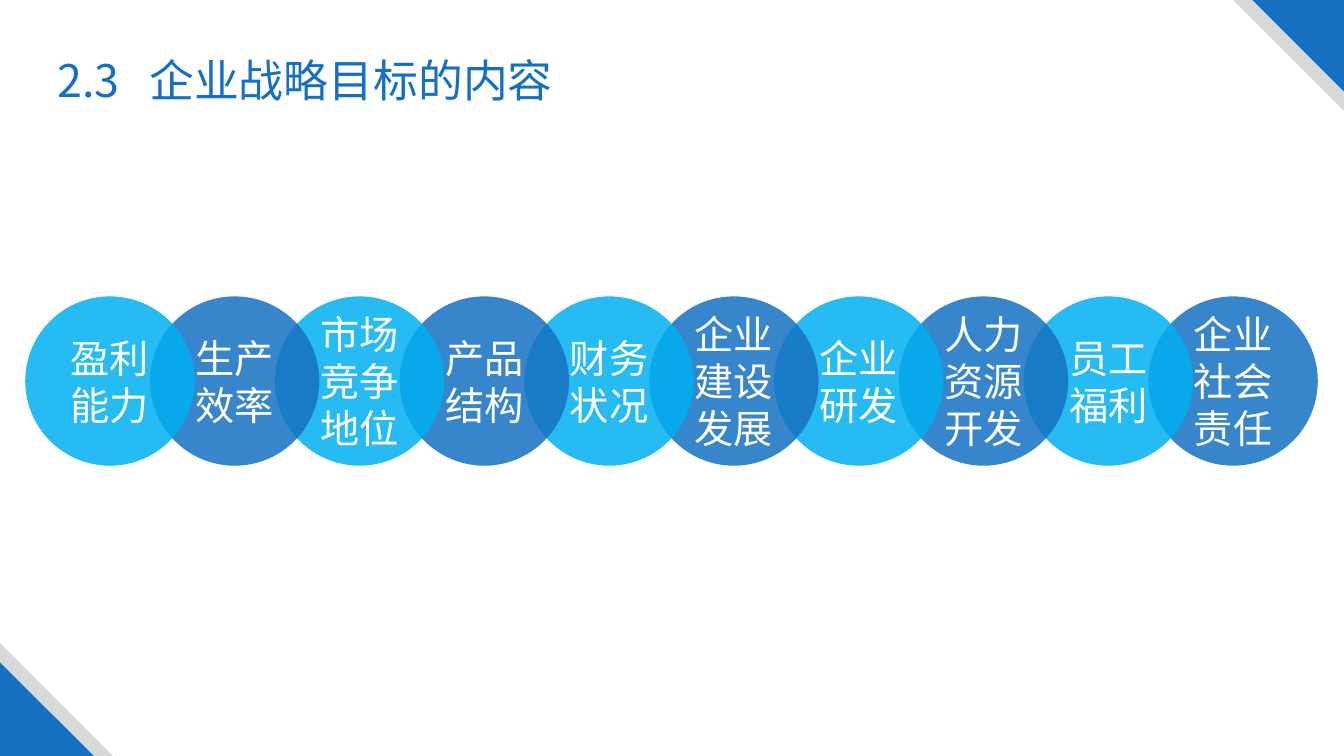
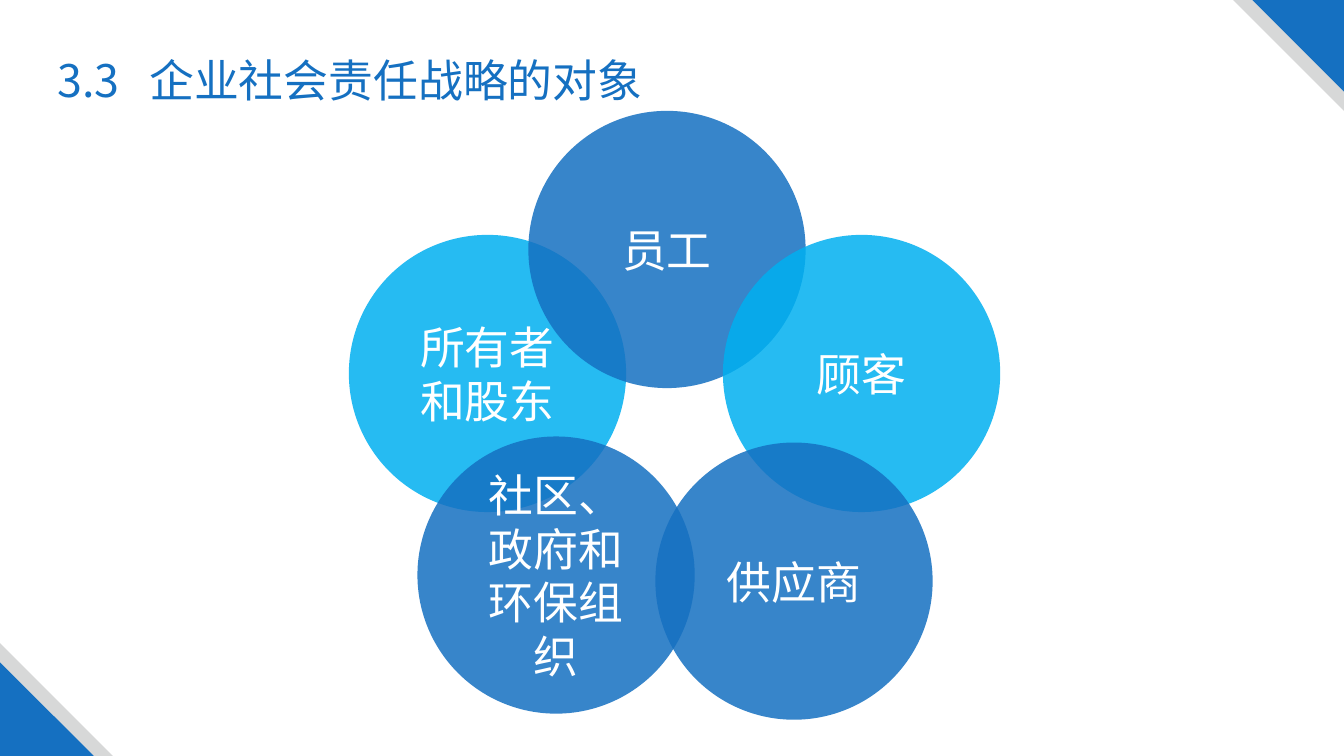
from lxml import etree
from pptx import Presentation
from pptx import util as u
from pptx.dml.color import RGBColor
from pptx.enum import shapes, text
from pptx.oxml.ns import qn

FONT = "Noto Sans CJK SC"
BLUE, CYAN, GRAY, WHITE = "1570C1", "00B0F0", "D7D8D8", "FFFFFF"
SLIDE_WIDTH, SLIDE_HEIGHT = 13.33, 7.5
TITLE_ONLY_LAYOUT = 5


def color(hex_value):
    return RGBColor.from_string(hex_value)


class Deck:
    def __init__(self):
        self.presentation = Presentation()
        self.presentation.slide_width = u.Inches(SLIDE_WIDTH)
        self.presentation.slide_height = u.Inches(SLIDE_HEIGHT)
        self.slide = None

    def add_slide(self, number, title):
        layout = self.presentation.slide_layouts[TITLE_ONLY_LAYOUT]
        self.slide = self.presentation.slides.add_slide(layout)
        self.corners()
        self.title(number, title)

    def shape(self, preset, left, top, width, height, fill, opacity=100):
        shape = self.slide.shapes.add_shape(
            preset, u.Inches(left), u.Inches(top), u.Inches(width), u.Inches(height))
        shape.shadow.inherit = False
        shape.line.fill.background()
        shape.fill.solid()
        shape.fill.fore_color.rgb = color(fill)
        if opacity < 100:
            rgb = shape.fill._xPr.find(".//" + qn("a:srgbClr"))
            etree.SubElement(rgb, qn("a:alpha"), val=str(opacity * 1000))
        return shape

    def corners(self):
        """Layer a blue triangle on a gray one, top right and bottom left."""
        triangle = shapes.MSO_SHAPE.RIGHT_TRIANGLE
        for size, fill in ((1.1, GRAY), (0.91, BLUE)):
            top_right = self.shape(triangle, SLIDE_WIDTH - size, 0, size, size, fill)
            top_right.rotation = 180
            size += 0.02
            self.shape(triangle, 0, SLIDE_HEIGHT - size, size, size, fill)

    def format_text(self, paragraph, size, fill, alignment):
        paragraph.alignment = alignment
        for run in paragraph.runs:
            run.font.name = FONT
            run.font.size = u.Pt(size)
            run.font.color.rgb = color(fill)
            etree.SubElement(run.font._element, qn("a:ea"), typeface=FONT)

    def title(self, number, title):
        shape = self.slide.shapes.title
        shape.left, shape.top = u.Inches(0.47), u.Inches(0.47)
        shape.width, shape.height = u.Inches(6.63), u.Inches(0.64)
        frame = shape.text_frame
        frame.auto_size = text.MSO_AUTO_SIZE.NONE
        frame.vertical_anchor = text.MSO_ANCHOR.TOP
        frame.text = f"{number}\t{title}"
        paragraph = frame.paragraphs[0]
        tabs = etree.SubElement(paragraph._p.get_or_add_pPr(), qn("a:tabLst"))
        etree.SubElement(tabs, qn("a:tab"), pos=str(u.Inches(0.91)), algn="l")
        self.format_text(paragraph, 32, BLUE, text.PP_ALIGN.LEFT)

    def circle(self, label, left, top, diameter, fill, size):
        shape = self.shape(shapes.MSO_SHAPE.OVAL, left, top, diameter, diameter,
                           fill, opacity=85)
        frame = shape.text_frame
        frame.word_wrap = True
        frame.vertical_anchor = text.MSO_ANCHOR.MIDDLE
        frame.text = label
        for paragraph in frame.paragraphs:
            self.format_text(paragraph, size, WHITE, text.PP_ALIGN.CENTER)


def add_goals(deck):
    deck.add_slide("2.3", "企业战略目标的内容")
    goals = ["盈利\n能力", "生产\n效率", "市场竞争地位", "产品\n结构", "财务\n状况",
             "企业建设发展", "企业\n研发", "人力\n资源\n开发", "员工\n福利",
             "企业\n社会\n责任"]
    first_left, last_left = 0.25, 11.39
    pitch = (last_left - first_left) / (len(goals) - 1)
    # Drawn from right to left so that each circle overlaps the next one.
    for index, goal in reversed(list(enumerate(goals))):
        fill = BLUE if index % 2 else CYAN
        deck.circle(goal, first_left + index * pitch, 2.94, 1.68, fill, 28)


def add_stakeholders(deck):
    deck.add_slide("3.3", "企业社会责任战略的对象")
    stakeholders = [
        ("所有者和股东", 3.46, 2.33, CYAN),
        ("员工", 5.24, 1.1, BLUE),
        ("顾客", 7.17, 2.33, CYAN),
        ("供应商", 6.5, 4.39, BLUE),
        ("社区、政府和环保组织", 4.14, 4.33, BLUE),
    ]
    for label, left, top, fill in stakeholders:
        deck.circle(label, left, top, 2.75, fill, 32)


def main():
    deck = Deck()
    add_goals(deck)
    add_stakeholders(deck)
    deck.presentation.save("out.pptx")


if __name__ == "__main__":
    main()
